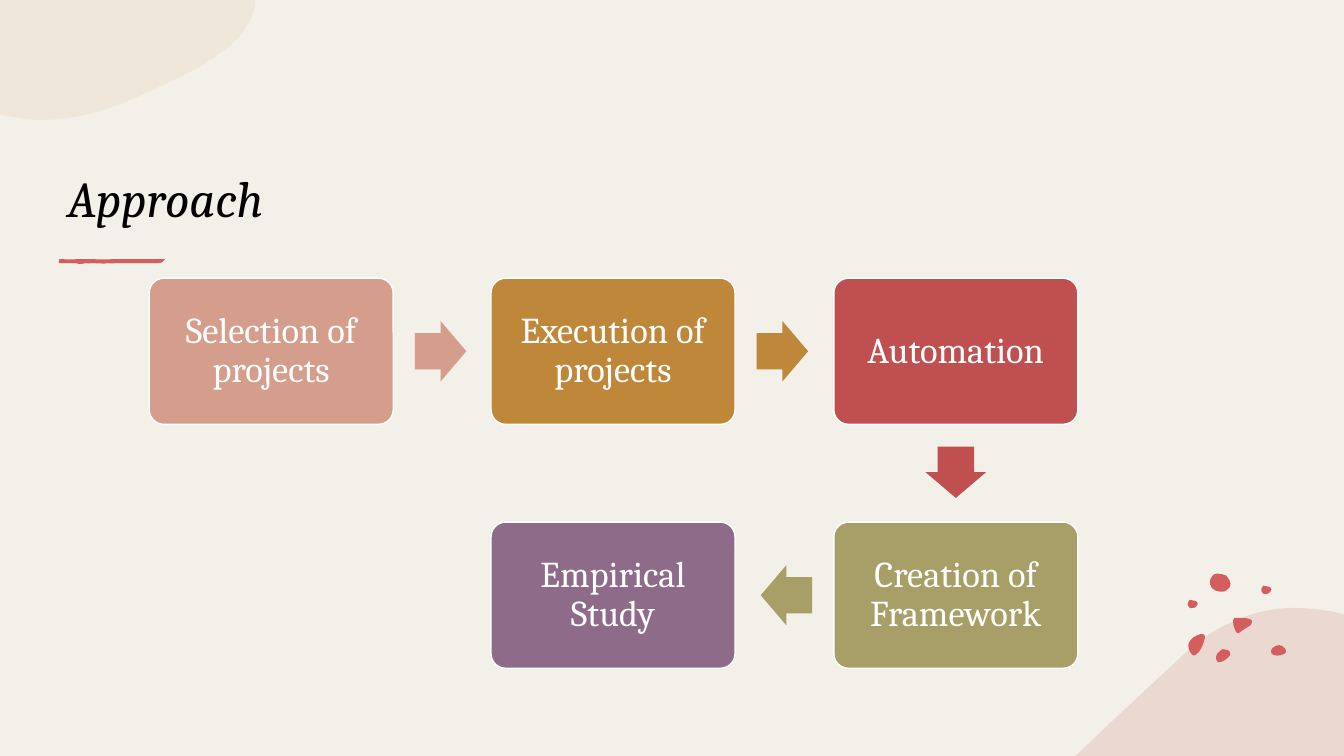
"""Build the Approach slide: a five-step process flow with organic decorations."""
from lxml import etree
from pptx import Presentation
from pptx.dml.color import RGBColor
from pptx.enum.shapes import MSO_SHAPE
from pptx.enum.text import MSO_ANCHOR, PP_ALIGN
from pptx.oxml.ns import qn
from pptx.util import Inches, Pt

RECT = MSO_SHAPE.RECTANGLE
ROUND_RECT = MSO_SHAPE.ROUNDED_RECTANGLE
ARROW = MSO_SHAPE.RIGHT_ARROW
MIDDLE, BOTTOM = MSO_ANCHOR.MIDDLE, MSO_ANCHOR.BOTTOM
CENTER = PP_ALIGN.CENTER
FONT = "Cambria"
RED = "D45E5E"
BACKGROUND = "F3F0E9"


def paint(s, color, alpha=100):
    s.shadow.inherit = False
    s.fill.solid()
    s.fill.fore_color.rgb = RGBColor.from_string(color)
    s.line.fill.background()
    if alpha < 100:
        clr = s.fill._xPr.find(qn("a:solidFill"))[0]
        etree.SubElement(clr, qn("a:alpha"), val=str(alpha * 1000))


def draw_outline(start, segments, color, alpha=100, dx=0, dy=0):
    builder = shapes.build_freeform(Inches(start[0] + dx), Inches(start[1] + dy))
    builder.add_line_segments(
        [(Inches(seg[-2] + dx), Inches(seg[-1] + dy)) for seg in segments], close=True)
    s = builder.convert_to_shape()
    lines = list(s._element.iter(qn("a:lnTo")))
    for line, seg in zip(lines, segments):
        if len(seg) == 6:
            curve = etree.Element(qn("a:cubicBezTo"))
            for x, y in zip(seg[::2], seg[1::2]):
                etree.SubElement(curve, qn("a:pt"), x=str(Inches(x + dx) - s.left),
                                 y=str(Inches(y + dy) - s.top))
            line.getparent().replace(line, curve)
    paint(s, color, alpha)
    return s


prs = Presentation()
prs.slide_width, prs.slide_height = Inches(13.33), Inches(7.5)
slide = prs.slides.add_slide(prs.slide_layouts[6])
slide.background.fill.solid()
slide.background.fill.fore_color.rgb = RGBColor.from_string(BACKGROUND)
shapes = slide.shapes

s = shapes.add_shape(RECT, 0, Inches(0.01), prs.slide_width, prs.slide_height)
paint(s, BACKGROUND)

s = draw_outline((0.67, 1.86), [
    (0.67, -0.67), (0.73, -0.67), (1.11, -0.59, 1.34, -0.14, 1.53, 0.28),
    (1.7, 0.63, 1.86, 1, 1.86, 1.45), (1.86, 1.55, 1.85, 1.64, 1.83, 1.73),
    (1.81, 1.86)], "E7CFAF", 25)
s.rotation = 90

tb = shapes.add_textbox(Inches(0.57), Inches(0.86), Inches(11.02), Inches(1.45))
tf = tb.text_frame
tf.word_wrap = True
tf.vertical_anchor = BOTTOM
p = tf.paragraphs[0]
p.text = "Approach"
p.font.name, p.font.size, p.font.italic = FONT, Pt(36), True
p.font.color.rgb = RGBColor.from_string("000000")

draw_outline((0.86, 2.61), [
    (0.87, 2.61, 0.89, 2.62, 0.9, 2.61), (0.94, 2.61, 1.05, 2.62, 1.07, 2.61),
    (1.09, 2.61, 1.12, 2.62, 1.15, 2.61), (1.33, 2.61), (1.57, 2.61),
    (1.63, 2.61, 1.61, 2.58, 1.64, 2.57), (1.57, 2.57), (1.33, 2.57), (1.11, 2.57),
    (1.06, 2.58, 0.94, 2.57, 0.88, 2.57), (0.77, 2.57),
    (0.7, 2.58, 0.64, 2.57, 0.59, 2.57), (0.58, 2.58, 0.57, 2.62, 0.61, 2.61),
    (0.75, 2.61), (0.76, 2.62, 0.78, 2.61, 0.79, 2.62), (0.86, 2.61)], RED)

draw_outline((12.88, 6.03), [
    (13.01, 6.04, 13.14, 6.05, 13.27, 6.08), (13.33, 6.1), (13.33, 7.5),
    (10.67, 7.5), (10.68, 7.49), (11.02, 7.16, 11.37, 6.84, 11.69, 6.54),
    (11.91, 6.32, 12.14, 6.19, 12.37, 6.11),
    (12.54, 6.05, 12.71, 6.03, 12.88, 6.03)], "E5C4BA", 50)

specks = [
    ((12.13, 6.44), [
        (12.15, 6.44, 12.16, 6.44, 12.18, 6.45), (12.2, 6.46, 12.21, 6.48, 12.2, 6.5),
        (12.18, 6.53, 12.12, 6.58, 12.08, 6.57), (12.07, 6.56, 12.06, 6.54, 12.06, 6.52),
        (12.06, 6.5, 12.08, 6.47, 12.1, 6.46), (12.11, 6.45, 12.12, 6.44, 12.13, 6.44)]),
    ((11.91, 6.29), [
        (11.93, 6.29, 11.95, 6.29, 11.95, 6.31), (11.95, 6.32, 11.95, 6.32, 11.95, 6.33),
        (11.94, 6.38, 11.92, 6.43, 11.89, 6.47), (11.87, 6.49, 11.84, 6.52, 11.82, 6.49),
        (11.79, 6.46, 11.78, 6.41, 11.79, 6.38), (11.8, 6.35, 11.82, 6.34, 11.84, 6.32),
        (11.85, 6.32, 11.88, 6.29, 11.91, 6.29)]),
    ((12.69, 6.4), [
        (12.71, 6.4, 12.74, 6.42, 12.75, 6.44), (12.76, 6.46, 12.76, 6.48, 12.73, 6.49),
        (12.7, 6.51, 12.62, 6.51, 12.61, 6.48), (12.6, 6.46, 12.61, 6.44, 12.62, 6.43),
        (12.64, 6.41, 12.66, 6.4, 12.69, 6.4)]),
    ((12.01, 5.81), [
        (12, 5.81, 11.99, 5.75, 12.02, 5.72), (12.04, 5.7, 12.04, 5.69, 12.07, 5.69),
        (12.1, 5.69, 12.14, 5.7, 12.16, 5.71), (12.18, 5.73, 12.22, 5.78, 12.2, 5.82),
        (12.17, 5.85, 12.16, 5.87, 12.12, 5.87), (12.09, 5.87, 12.04, 5.86, 12.03, 5.84),
        (12.01, 5.83, 12.01, 5.82, 12.01, 5.81)]),
    ((12.28, 6.13), [
        (12.34, 6.13, 12.45, 6.13, 12.41, 6.19), (12.41, 6.2, 12.4, 6.21, 12.39, 6.21),
        (12.36, 6.23, 12.33, 6.25, 12.3, 6.27), (12.29, 6.28, 12.28, 6.29, 12.27, 6.28),
        (12.27, 6.28, 12.26, 6.27, 12.26, 6.27), (12.24, 6.23, 12.23, 6.2, 12.23, 6.16),
        (12.23, 6.15, 12.23, 6.14, 12.24, 6.13), (12.26, 6.13, 12.27, 6.13, 12.28, 6.13)]),
]
for start, segments in specks:
    draw_outline(start, segments, RED)

small_speck = [
    (12.51, 5.86, 12.51, 5.82, 12.53, 5.81), (12.55, 5.81, 12.56, 5.81, 12.58, 5.82),
    (12.59, 5.82, 12.61, 5.83, 12.61, 5.85), (12.61, 5.86, 12.6, 5.87, 12.59, 5.88),
    (12.59, 5.88, 12.59, 5.89, 12.57, 5.89), (12.56, 5.89, 12.54, 5.9, 12.53, 5.89),
    (12.52, 5.87, 12.51, 5.87, 12.51, 5.86)]
for dx, dy in [(0, 0), (-0.73, 0.14)]:
    draw_outline((12.51, 5.86), small_speck, RED, dx=dx, dy=dy)

BOX_W, BOX_H = 2.42, 1.45
ARROW_W, ARROW_H = 0.51, 0.6
columns, rows = [1.48, 4.87, 8.27], [2.76, 5.18]
arrow_offsets = {0: (1.68, 0), 90: (0, 1.2), 180: (-1.68, 0)}
steps = [
    ("Selection of projects", "D49D8C", 0, 0, 0),
    ("Execution of projects", "BF873A", 1, 0, 0),
    ("Automation", "C05050", 2, 0, 90),
    ("Creation of Framework", "A89F68", 2, 1, 180),
    ("Empirical Study", "8F6B8A", 1, 1, None),
]
for label, color, col, row, angle in steps:
    x, y = columns[col], rows[row]
    s = shapes.add_shape(ROUND_RECT, Inches(x), Inches(y), Inches(BOX_W), Inches(BOX_H))
    s.adjustments[0] = 0.1
    paint(s, color)
    s.line.color.rgb = RGBColor.from_string("FFFFFF")
    s.line.width = Pt(1)
    tf = s.text_frame
    tf.word_wrap = True
    tf.vertical_anchor = MIDDLE
    tf.margin_left = tf.margin_right = tf.margin_top = tf.margin_bottom = Inches(0.11)
    p = tf.paragraphs[0]
    p.text = label
    p.alignment = CENTER
    p.line_spacing = 0.9
    p.font.name, p.font.size = FONT, Pt(26)
    p.font.color.rgb = RGBColor.from_string("FFFFFF")

    if angle is not None:
        dx, dy = arrow_offsets[angle]
        left = x + (BOX_W - ARROW_W) / 2 + dx
        top = y + (BOX_H - ARROW_H) / 2 + dy
        s = shapes.add_shape(ARROW, Inches(left), Inches(top), Inches(ARROW_W), Inches(ARROW_H))
        s.adjustments[0], s.adjustments[1] = 0.6, 0.5
        s.rotation = angle
        paint(s, color)

prs.save("out.pptx")
